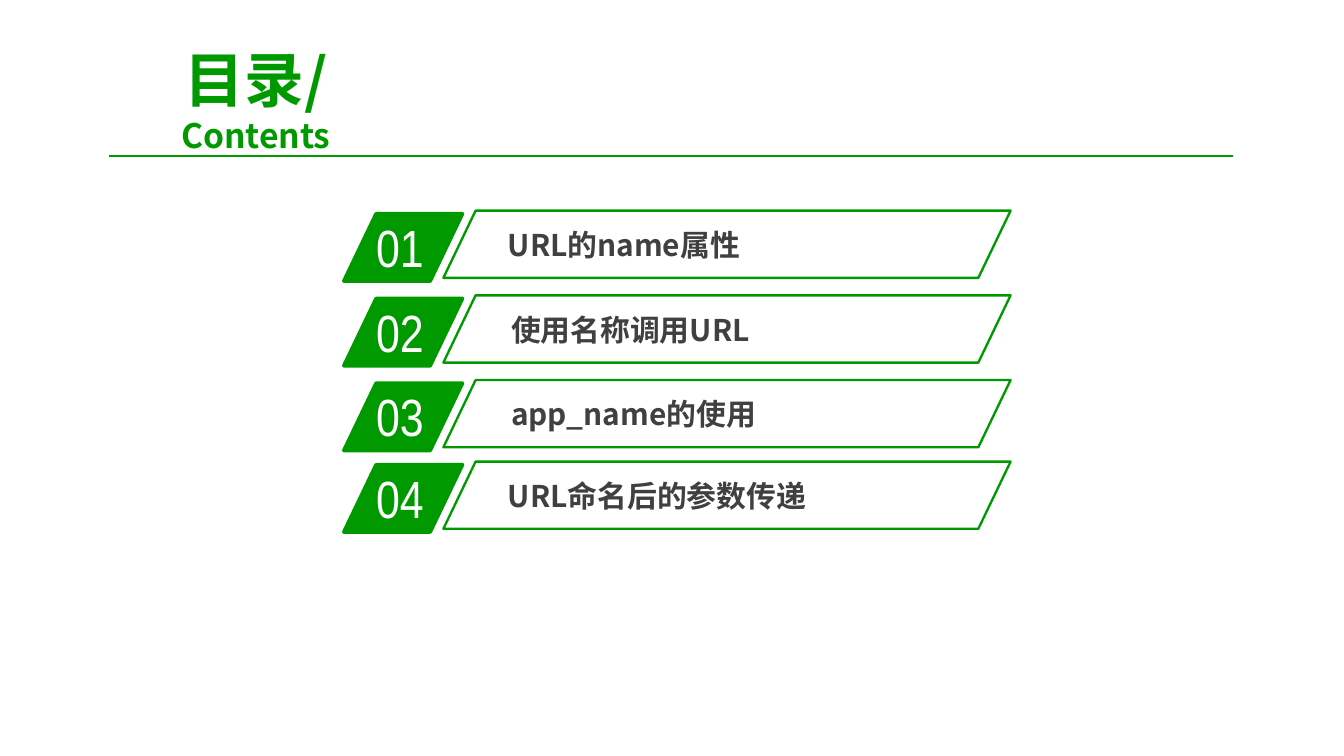
import pptx
import pptx.util
import pptx.dml.color
import pptx.enum.shapes
import pptx.enum.text
import pptx.oxml
import pptx.oxml.ns
import lxml.etree

Cm, Pt = pptx.util.Cm, pptx.util.Pt
GREEN = pptx.dml.color.RGBColor(0x00, 0x99, 0x00)
GREY = pptx.dml.color.RGBColor(0x40, 0x40, 0x40)
WHITE = pptx.dml.color.RGBColor(0xFF, 0xFF, 0xFF)
HEADING_FONT = "Noto Sans CJK SC"
NUMBER_FONT = "Arial Narrow"


def set_font(paragraph, name, size, color, bold=False):
    font = paragraph.font
    font.name, font.size, font.bold = name, Pt(size), bold
    font.color.rgb = color
    east_asian = lxml.etree.SubElement(font._element, pptx.oxml.ns.qn("a:ea"))
    east_asian.set("typeface", name)


def add_slanted(left, top, width, line_width):
    shape = page.shapes.add_shape(
        pptx.enum.shapes.MSO_SHAPE.PARALLELOGRAM,
        Cm(left), Cm(top), Cm(width), Cm(1.27))
    shape.adjustments[0] = 0.48
    shape.shadow.inherit = False
    shape.fill.background()
    shape.line.color.rgb = GREEN
    shape.line.width = Pt(line_width)
    return shape


deck = pptx.Presentation()
deck.slide_width, deck.slide_height = Cm(25.4), Cm(14.28)
page = deck.slides.add_slide(deck.slide_layouts[5])

# Title
title = page.shapes.title
title.left, title.top, title.width, title.height = Cm(1.7), Cm(1.19), Cm(6.27), Cm(1.37)
frame = title.text_frame
frame.auto_size = pptx.enum.text.MSO_AUTO_SIZE.NONE
frame.vertical_anchor = pptx.enum.text.MSO_ANCHOR.MIDDLE
frame.text = "目录/\vContents"
heading = frame.paragraphs[0]
heading.alignment = pptx.enum.text.PP_ALIGN.CENTER
set_font(heading, HEADING_FONT, 32, GREEN, True)
heading.runs[1].font.size = Pt(18)

# Rule under the title
rule = page.shapes.add_connector(
    pptx.enum.shapes.MSO_CONNECTOR.STRAIGHT, Cm(2.06), Cm(2.95), Cm(23.3), Cm(2.95))
rule.line.color.rgb = GREEN
rule.line.width = Pt(0.75)
lxml.etree.SubElement(rule._element.spPr, pptx.oxml.ns.qn("a:effectLst"))

# Contents rows: top, label left, label
rows = [
    (4.04, 9.42, "URL的name属性"),
    (5.64, 9.48, "使用名称调用URL"),
    (7.24, 9.48, "app_name的使用"),
    (8.78, 9.42, "URL命名后的参数传递"),
]
for number, (top, label_left, label) in enumerate(rows, start=1):
    badge = add_slanted(6.5, top, 2.24, 2)
    badge.fill.solid()
    badge.fill.fore_color.rgb = GREEN
    add_slanted(8.38, top - 0.06, 10.72, 1.25)

    number_box = page.shapes.add_textbox(Cm(6.86), Cm(top - 0.1), Cm(2.13), Cm(1.45))
    number_box.text_frame.word_wrap = True
    number_box.text_frame.text = f"{number:02d}"
    set_font(number_box.text_frame.paragraphs[0], NUMBER_FONT, 28, WHITE)

    label_box = page.shapes.add_textbox(Cm(label_left), Cm(top + 0.14), Cm(8.5), Cm(0.89))
    frame = label_box.text_frame
    frame.word_wrap = True
    frame.margin_left = frame.margin_right = Cm(0.18)
    frame.margin_top = frame.margin_bottom = Cm(0.1)
    frame.text = label
    set_font(frame.paragraphs[0], HEADING_FONT, 16, GREY, True)

deck.save("out.pptx")
